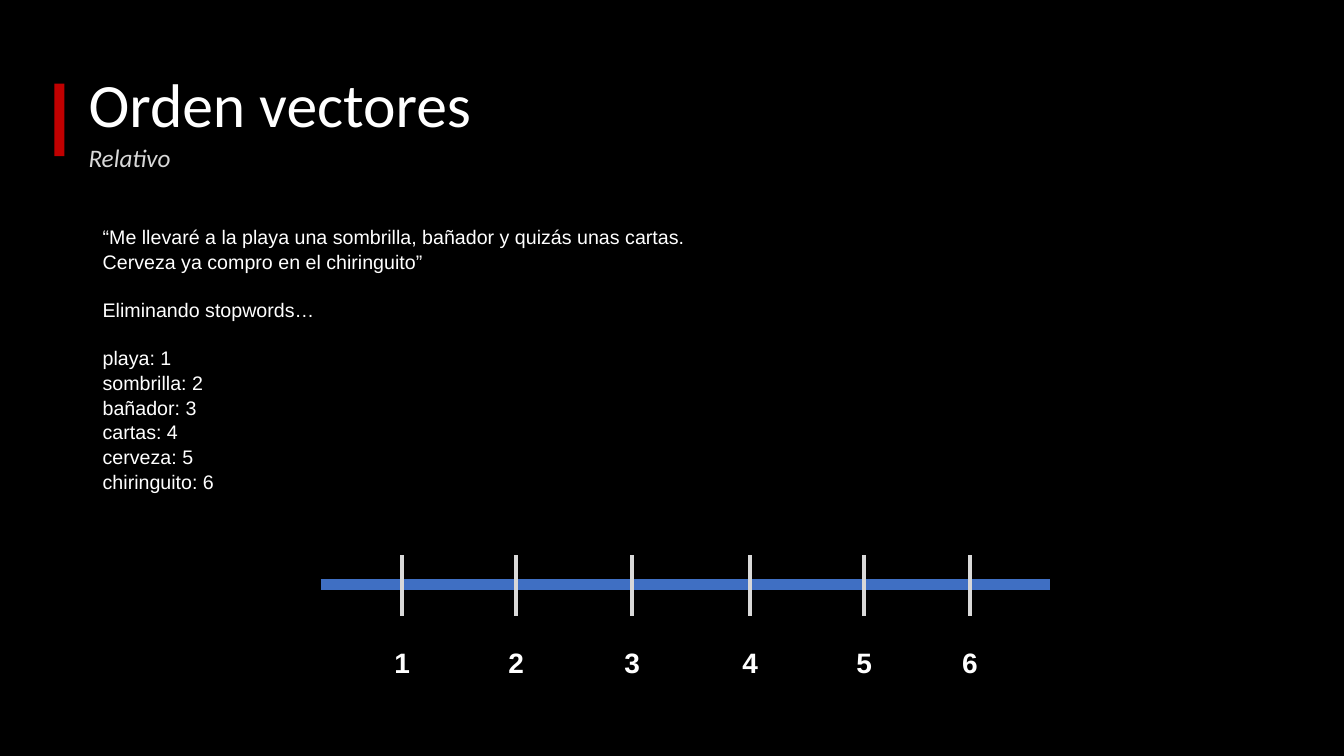
from dataclasses import dataclass

from lxml import etree
from pptx import Presentation
from pptx.dml.color import RGBColor
from pptx.enum import shapes, text
from pptx.oxml import ns
from pptx.util import Inches, Pt


@dataclass(frozen=True)
class Theme:
    back: str = "000000"
    ink: str = "FFFFFF"
    soft: str = "D8D8D8"
    mark: str = "C00000"
    axis: str = "3F6FC3"
    tick: str = "D9D9D9"
    head: str = "Calibri"
    body: str = "Arial"
    title: int = 44
    sub: int = 18
    copy: int = 14
    label: int = 20
    thick: float = 7.75
    thin: float = 2.75


THEME = Theme()
WORDS = ["playa", "sombrilla", "bañador", "cartas", "cerveza", "chiringuito"]


def color(code):
    return RGBColor.from_string(code)


def write(slide, box, lines, face, size, ink, bold=False, slant=False):
    frame = slide.shapes.add_textbox(*map(Inches, box)).text_frame
    frame.word_wrap = True
    frame.text = "\n".join(lines)
    for para in frame.paragraphs:
        font = para.font
        font.name, font.size = face, Pt(size)
        font.bold, font.italic = bold, slant
        font.color.rgb = color(ink)
    return frame


def rule(slide, start, end, ink, width):
    line = slide.shapes.add_connector(
        shapes.MSO_CONNECTOR.STRAIGHT, *map(Inches, start + end))
    line.line.color.rgb = color(ink)
    line.line.width = Pt(width)
    etree.SubElement(line._element.spPr, ns.qn("a:effectLst"))


def header(slide, left, top):
    title = write(slide, (left + 0.24, top - 0.49, 11.5, 1.45),
                  ["Orden vectores"], THEME.head, THEME.title, THEME.ink)
    title.vertical_anchor = text.MSO_ANCHOR.MIDDLE
    sub = write(slide, (left + 0.24, top + 0.57, 6, 0.52), ["Relativo"],
                THEME.head, THEME.sub, THEME.soft, slant=True)
    for frame in (title, sub):
        frame.paragraphs[0].line_spacing = 0.9
    bar = slide.shapes.add_shape(
        shapes.MSO_SHAPE.RECTANGLE, *map(Inches, (left, top, 0.1, 0.72)))
    bar.shadow.inherit = False
    bar.fill.solid()
    bar.fill.fore_color.rgb = color(THEME.mark)
    bar.line.fill.background()


def sample(slide, box):
    quote = ("“Me llevaré a la playa una sombrilla, bañador y quizás unas "
             "cartas. Cerveza ya compro en el chiringuito”")
    items = [f"{word}: {rank}" for rank, word in enumerate(WORDS, 1)]
    frame = write(slide, box, [quote, "Eliminando stopwords…", *items],
                  THEME.body, THEME.copy, THEME.ink)
    for para in frame.paragraphs:
        para.line_spacing = 1.05
    for para in frame.paragraphs[1:3]:
        para.space_before = Pt(16.9)


def scale(slide, left, mid, width):
    rule(slide, (left, mid), (left + width, mid), THEME.axis, THEME.thick)
    ticks = [0.81, 1.94, 3.09, 4.26, 5.39, 6.44]
    for rank, step in enumerate(ticks, 1):
        spot = left + step
        rule(slide, (spot, mid - 0.29), (spot, mid + 0.31),
             THEME.tick, THEME.thin)
        frame = write(slide, (spot - 0.54, mid + 0.55, 1.08, 0.44),
                      [str(rank)], THEME.body, THEME.label, THEME.ink, bold=True)
        frame.paragraphs[0].alignment = text.PP_ALIGN.CENTER


def main():
    deck = Presentation()
    deck.slide_width, deck.slide_height = Inches(13.33), Inches(7.5)
    slide = deck.slides.add_slide(deck.slide_layouts[6])
    slide.background.fill.solid()
    slide.background.fill.fore_color.rgb = color(THEME.back)
    header(slide, 0.54, 0.83)
    sample(slide, (0.92, 2.17, 6.14, 2.69))
    scale(slide, 3.18, 5.8, 7.23)
    deck.save("out.pptx")


if __name__ == "__main__":
    main()
